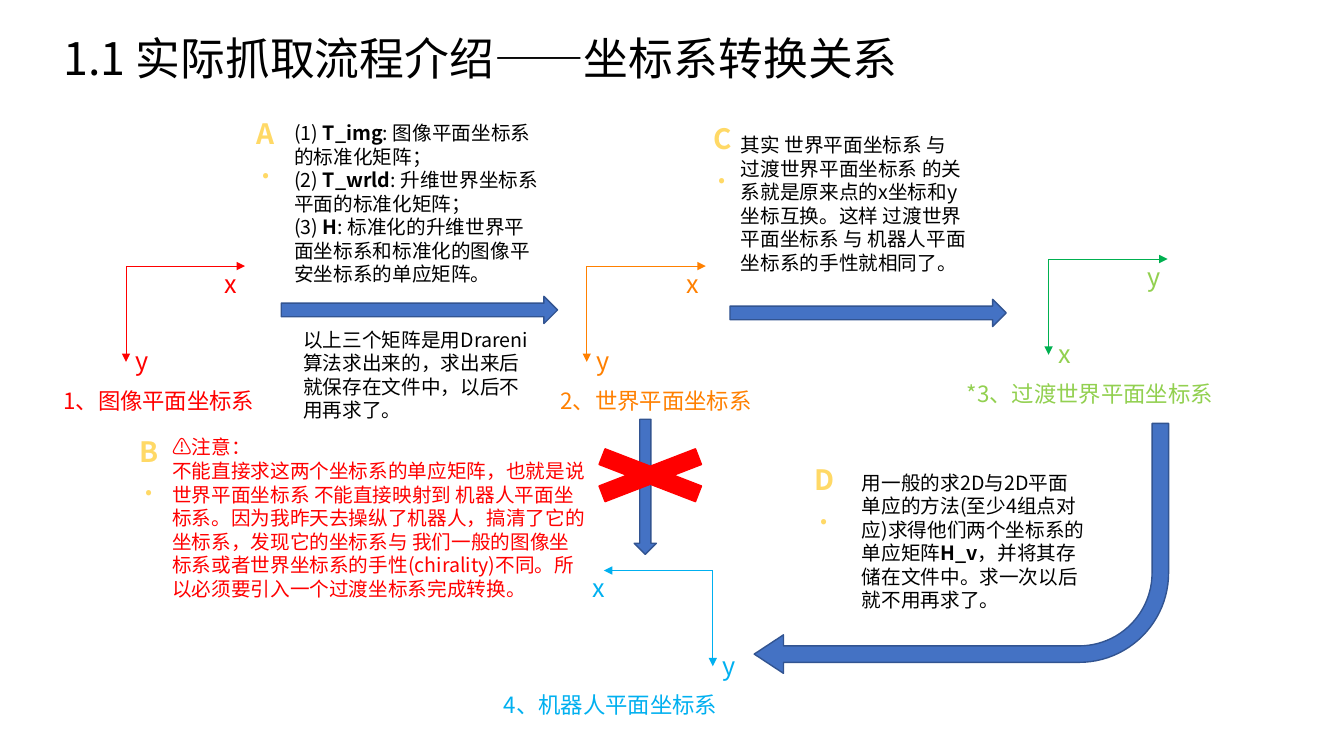
from dataclasses import dataclass

import pptx
import pptx.dml.color
import pptx.enum.shapes
import pptx.enum.text
import pptx.oxml.ns
import pptx.util
from lxml import etree

Inches = pptx.util.Inches
Pt = pptx.util.Pt
SHAPE = pptx.enum.shapes.MSO_SHAPE
qn = pptx.oxml.ns.qn

FONT = "Noto Sans CJK SC"
BLACK, RED, ORANGE, CYAN = "000000", "FF0000", "FF8000", "00B0F0"
GREEN, LIME, BLUE, NAVY, GOLD = "00B050", "92D050", "4472C4", "325491", "FFD966"


@dataclass
class Label:
    """A text box; each paragraph is a list of runs, every second one bold."""
    box: tuple[float, float, float, float]
    paragraphs: list[list[str]]
    size: int = 14
    color: str = BLACK


@dataclass
class Axes:
    """Two axes from one corner; across is the signed horizontal length."""
    corner: tuple[float, float]
    across: float
    line: str
    color: str
    names: tuple[str, str]
    name_left: float
    caption: str
    caption_box: tuple[float, float, float, float]


@dataclass
class Block:
    kind: SHAPE
    box: tuple[float, float, float, float]
    fill: str = BLUE
    line: str = NAVY
    rotation: int = 0
    adjustments: tuple[float, ...] = ()


@dataclass
class Step:
    letter: str
    left: float
    top: float


def rgb(color: str) -> pptx.dml.color.RGBColor:
    return pptx.dml.color.RGBColor.from_string(color)


def add_label(s, label: Label, align=None, bold: bool = False) -> None:
    tf = s.shapes.add_textbox(*map(Inches, label.box)).text_frame
    tf.word_wrap = True
    for i, texts in enumerate(label.paragraphs):
        p = tf.add_paragraph() if i else tf.paragraphs[0]
        p.alignment = align
        for j, text in enumerate(texts):
            r = p.add_run()
            r.text = text
            font = {"name": FONT, "size": Pt(label.size), "bold": bold or j % 2 == 1}
            for key, value in font.items():
                setattr(r.font, key, value)
            r.font.color.rgb = rgb(label.color)
            r.font._element.find(qn("a:latin")).addnext(
                etree.Element(qn("a:ea"), typeface=FONT))


def add_axis(s, start: tuple[float, float], end: tuple[float, float], color: str) -> None:
    line = s.shapes.add_connector(pptx.enum.shapes.MSO_CONNECTOR.STRAIGHT,
                                  *map(Inches, start + end))
    line.line.color.rgb = rgb(color)
    line.line.width = Pt(0.5)
    etree.SubElement(line.line._get_or_add_ln(), qn("a:tailEnd"), type="triangle")
    etree.SubElement(line._element.spPr, qn("a:effectLst"))


def add_axes(s, axes: Axes) -> None:
    x, y = axes.corner
    add_axis(s, (x, y), (x + axes.across, y), axes.line)
    add_axis(s, (x, y), (x, y + 0.95), axes.line)
    across, down = axes.names
    for name, left, top in ((down, x, y + 0.74), (across, axes.name_left, y - 0.03)):
        add_label(s, Label((left, top, 0.36, 0.4), [[name]], 18, axes.color))
    add_label(s, Label(axes.caption_box, [[axes.caption]], 16, axes.color))


def add_block(s, block: Block) -> None:
    sp = s.shapes.add_shape(block.kind, *map(Inches, block.box))
    sp.shadow.inherit = False
    sp.rotation = block.rotation
    sp.fill.solid()
    sp.fill.fore_color.rgb = rgb(block.fill)
    sp.line.color.rgb = rgb(block.line)
    sp.line.width = Pt(1)
    for i, value in enumerate(block.adjustments):
        sp.adjustments[i] = value


TITLE = Label((0.53, 0.26, 10.23, 0.64), [["1.1 实际抓取流程介绍——坐标系转换关系"]], 32)

SYSTEMS = [
    Axes((1.25, 2.64), 1.18, RED, RED, ("x", "y"), 2.13,
         "1、图像平面坐标系", (0.53, 3.79, 2.26, 0.37)),
    Axes((5.82, 2.64), 1.18, ORANGE, ORANGE, ("x", "y"), 6.71,
         "2、世界平面坐标系", (5.46, 3.79, 2.21, 0.37)),
    Axes((10.4, 2.57), 1.18, GREEN, LIME, ("y", "x"), 11.28,
         "*3、过渡世界平面坐标系", (9.49, 3.72, 2.82, 0.37)),
    Axes((7.07, 5.66), -1.08, CYAN, CYAN, ("x", "y"), 5.78,
         "4、机器人平面坐标系", (4.9, 6.81, 2.87, 0.37)),
]

BLOCKS = [
    Block(SHAPE.RIGHT_ARROW, (2.79, 2.94, 2.74, 0.27)),
    Block(SHAPE.RIGHT_ARROW, (7.24, 2.97, 2.74, 0.27)),
    Block(SHAPE.DOWN_ARROW, (6.29, 4.16, 0.22, 1.34)),
    Block(SHAPE.MATH_MULTIPLY, (5.53, 4.36, 1.84, 0.71), RED, RED),
    Block(SHAPE.BENT_ARROW, (7.48, 4.2, 4.11, 2.48), rotation=180,
          adjustments=(0.066, 0.077, 0.117, 0.358)),
]

NOTES = [
    Label((2.82, 1.15, 2.64, 1.99), [
        ["(1) ", "T_img", ": 图像平面坐标系的标准化矩阵；"],
        ["(2) ", "T_wrld", ": 升维世界坐标系平面的标准化矩阵；"],
        ["(3) ", "H", ": 标准化的升维世界平面坐标系和标准化的图像平安坐标系的单应矩阵。"]]),
    Label((2.91, 3.2, 2.43, 1.04), [
        ["以上三个矩阵是用Drareni算法求出来的，求出来后就保存在文件中，以后不用再求了。"]]),
    Label((1.61, 4.27, 4.33, 1.75), [
        ["⚠️注意："],
        ["不能直接求这两个坐标系的单应矩阵，也就是说 世界平面坐标系 不能直接映射到 "
         "机器人平面坐标系。因为我昨天去操纵了机器人，搞清了它的坐标系，发现它的坐标系与 "
         "我们一般的图像坐标系或者世界坐标系的手性(chirality)不同。"
         "所以必须要引入一个过渡坐标系完成转换。"]], color=RED),
    Label((7.25, 1.27, 2.43, 1.51), [
        ["其实 世界平面坐标系 与 过渡世界平面坐标系 的关系就是原来点的x坐标和y坐标互换。"
         "这样 过渡世界平面坐标系 与 机器人平面坐标系的手性就相同了。"]]),
    Label((8.45, 4.62, 2.43, 1.51), [
        ["用一般的求2D与2D平面单应的方法(至少4组点对应)求得他们两个坐标系的单应矩阵",
         "H_v", "，并将其存储在文件中。求一次以后就不用再求了。"]]),
]

STEPS = [Step("A", 2.41, 1.11), Step("B", 1.25, 4.26),
         Step("C", 6.94, 1.16), Step("D", 7.95, 4.54)]


def main() -> None:
    prs = pptx.Presentation()
    prs.slide_width, prs.slide_height = Inches(13.33), Inches(7.5)
    s = prs.slides.add_slide(prs.slide_layouts[6])

    # Title and coordinate systems
    add_label(s, TITLE)
    for axes in SYSTEMS:
        add_axes(s, axes)

    # Arrows between the systems, with the crossed-out direct route
    for block in BLOCKS:
        add_block(s, block)

    # Explanations and step letters
    for note in NOTES:
        add_label(s, note)
    for step in STEPS:
        label = Label((step.left, step.top, 0.45, 0.44), [[step.letter + "."]], 20, GOLD)
        add_label(s, label, pptx.enum.text.PP_ALIGN.CENTER, bold=True)

    prs.save("out.pptx")


if __name__ == "__main__":
    main()
